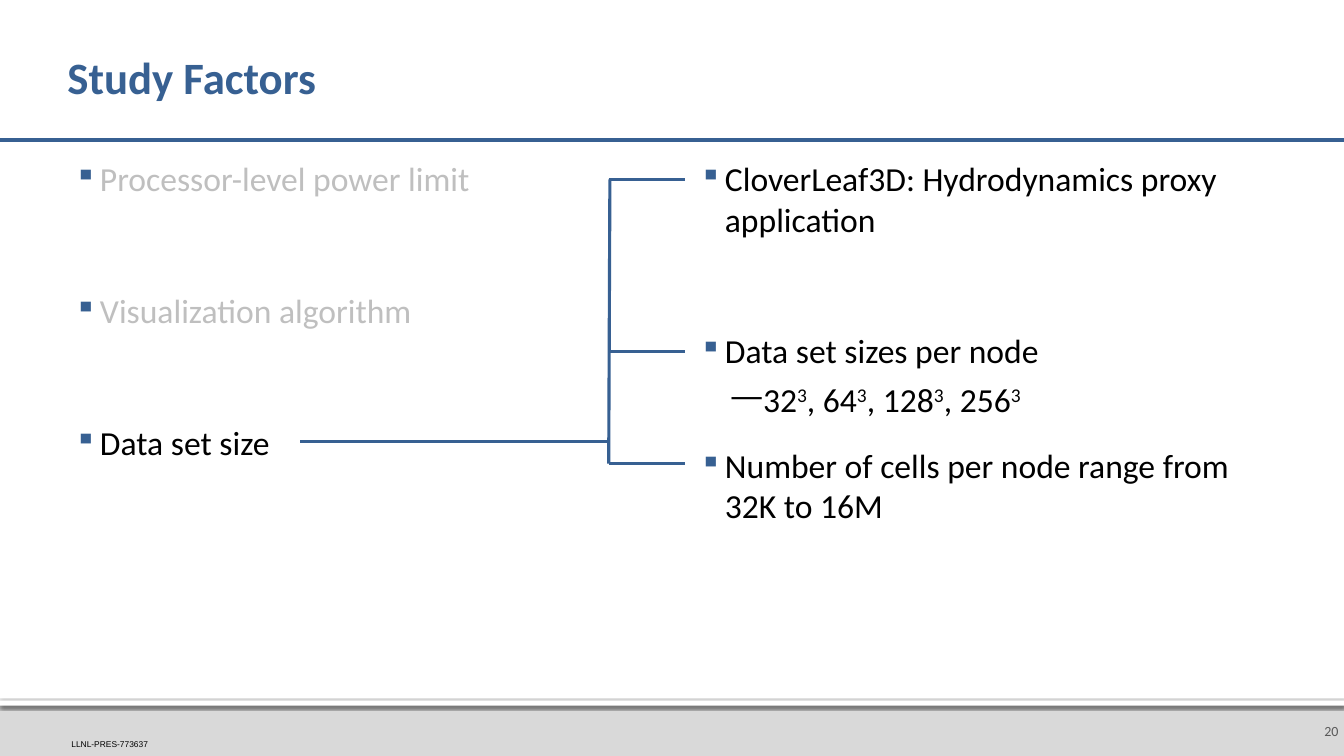
from dataclasses import dataclass

import lxml.etree
import pptx
import pptx.dml.color
import pptx.enum.shapes
import pptx.enum.text
import pptx.oxml.ns
import pptx.util

Cm = pptx.util.Cm
Pt = pptx.util.Pt
Align = pptx.enum.text.PP_ALIGN
Anchor = pptx.enum.text.MSO_ANCHOR


@dataclass(frozen=True)
class Theme:
    blue: str = "376092"
    black: str = "000000"
    faded: str = "BFBFBF"
    dark: str = "595959"
    band: str = "D9D9D9"
    white: str = "FFFFFF"
    main: str = "Calibri"
    small: str = "Arial"
    title: float = 32
    body: float = 24
    page: float = 10
    code: float = 6
    rule: float = 3
    link: float = 2.25


@dataclass(frozen=True)
class Box:
    left: float
    top: float
    width: float
    height: float


@dataclass(frozen=True)
class Line:
    x1: float
    y1: float
    x2: float
    y2: float
    weight: float


@dataclass(frozen=True)
class Label:
    text: str
    box: Box
    pad: tuple[float, float, float, float]
    size: float
    face: str
    color: str
    anchor: Anchor
    align: Align = Align.LEFT
    bold: bool = False
    pitch: float = 1.0


@dataclass(frozen=True)
class Item:
    text: str
    color: str
    before: float = 12
    level: int = 0


@dataclass(frozen=True)
class Bullet:
    mark: str
    left: float
    hang: float
    color: str | None


THEME = Theme()
WIDE, HIGH = 33.87, 19.05
GAP = 59.3
BULLETS = (Bullet("▪", 0.79, 0.64, THEME.blue), Bullet("—", 1.75, 0.79, None))

LABELS = (
    Label("20", Box(32.69, 17.78, 1.17, 1.27), (0.25, 0.13, 0.13, 0.13),
          THEME.page, THEME.main, THEME.dark, Anchor.MIDDLE, Align.RIGHT),
    Label("LLNL-PRES-773637", Box(1.8, 18.62, 3.23, 0.25), (0, 0, 0, 0),
          THEME.code, THEME.small, THEME.black, Anchor.BOTTOM),
    Label("Study Factors", Box(1.7, 0.61, 30.48, 2.79), (0, 0.13, 0.13, 0.13),
          THEME.title, THEME.main, THEME.blue, Anchor.MIDDLE, bold=True, pitch=0.9),
)

LISTS = {
    1.73: (
        Item("Processor-level power limit", THEME.faded, 0),
        Item("Visualization algorithm", THEME.faded, GAP),
        Item("Data set size", THEME.black, GAP),
    ),
    17.48: (
        Item("CloverLeaf3D: Hydrodynamics proxy application", THEME.black, 0),
        Item("Data set sizes per node", THEME.black, GAP),
        Item("32^3^, 64^3^, 128^3^, 256^3", THEME.black, 0, 1),
        Item("Number of cells per node range from 32K to 16M", THEME.black),
    ),
}

SPINE, TIP = 15.34, 17.27
ROWS = (4.52, 8.86, 11.68)
LINES = (
    Line(0, 3.53, WIDE, 3.53, THEME.rule),
    Line(7.57, 11.13, 15.37, 11.13, THEME.link),
    Line(15.37, ROWS[0], SPINE, ROWS[-1], THEME.link),
    *(Line(SPINE, row, TIP, row, THEME.link) for row in ROWS),
)


def paint(code: str) -> pptx.dml.color.RGBColor:
    return pptx.dml.color.RGBColor.from_string(code)


def node(base, tag: str, **attrs: str):
    part = lxml.etree.SubElement(base, pptx.oxml.ns.qn(tag))
    for key, value in attrs.items():
        part.set(key, value)
    return part


def add_bar(slide, box: Box, color: str):
    bar = slide.shapes.add_shape(
        pptx.enum.shapes.MSO_SHAPE.RECTANGLE,
        Cm(box.left), Cm(box.top), Cm(box.width), Cm(box.height))
    bar.shadow.inherit = False
    bar.fill.solid()
    bar.fill.fore_color.rgb = paint(color)
    bar.line.fill.background()
    return bar


def add_shade(bar) -> None:
    group = bar._element.spPr.find(pptx.oxml.ns.qn("a:effectLst"))
    shade = node(group, "a:outerShdw", blurRad=str(Pt(2.5)), dist=str(Pt(0.8)),
                 dir="5400000", algn="t", rotWithShape="0")
    node(node(shade, "a:srgbClr", val=THEME.black), "a:alpha", val="60000")


def add_frame(slide, box: Box, pad: tuple[float, float, float, float]):
    frame = slide.shapes.add_textbox(
        Cm(box.left), Cm(box.top), Cm(box.width), Cm(box.height)).text_frame
    frame.word_wrap = True
    frame.margin_left, frame.margin_top, frame.margin_right, frame.margin_bottom = map(Cm, pad)
    return frame


def set_font(para, face: str, size: float, color: str, bold: bool = False) -> None:
    para.font.name = face
    para.font.size = Pt(size)
    para.font.bold = bold
    para.font.color.rgb = paint(color)


def add_label(slide, label: Label) -> None:
    frame = add_frame(slide, label.box, label.pad)
    frame.vertical_anchor = label.anchor
    para = frame.paragraphs[0]
    para.text = label.text
    para.alignment = label.align
    para.line_spacing = label.pitch
    set_font(para, label.face, label.size, label.color, label.bold)


def add_mark(para, bullet: Bullet) -> None:
    props = para._p.get_or_add_pPr()
    props.set("marL", str(Cm(bullet.left)))
    props.set("indent", str(-Cm(bullet.hang)))
    if bullet.color:
        node(node(props, "a:buClr"), "a:srgbClr", val=bullet.color)
    node(props, "a:buSzPct", val="90000")
    node(props, "a:buChar", char=bullet.mark)


def add_list(slide, left: float, items: tuple[Item, ...]) -> None:
    frame = add_frame(slide, Box(left, 3.99, 14.71, 13.56), (0, 0, 0, 0))
    for index, item in enumerate(items):
        para = frame.add_paragraph() if index else frame.paragraphs[0]
        para.level = item.level
        add_mark(para, BULLETS[item.level])
        para.space_before = Pt(item.before)
        para.space_after = Pt(6)
        set_font(para, THEME.main, THEME.body, item.color)
        for place, piece in enumerate(item.text.split("^")):
            run = para.add_run()
            run.text = piece
            if place % 2:
                run._r.get_or_add_rPr().set("baseline", "30000")


def add_line(slide, line: Line) -> None:
    link = slide.shapes.add_connector(
        pptx.enum.shapes.MSO_CONNECTOR.STRAIGHT,
        Cm(line.x1), Cm(line.y1), Cm(line.x2), Cm(line.y2))
    link.line.color.rgb = paint(THEME.blue)
    link.line.width = Pt(line.weight)
    node(link._element.spPr, "a:effectLst")


def main() -> None:
    deck = pptx.Presentation()
    deck.slide_width, deck.slide_height = Cm(WIDE), Cm(HIGH)
    slide = deck.slides.add_slide(deck.slide_layouts[6])
    add_bar(slide, Box(0, 17.65, WIDE, 1.4), THEME.band)
    add_shade(add_bar(slide, Box(0, 17.65, WIDE, 0.13), THEME.white))
    for label in LABELS:
        add_label(slide, label)
    for left, items in LISTS.items():
        add_list(slide, left, items)
    for line in LINES:
        add_line(slide, line)
    deck.save("out.pptx")


if __name__ == "__main__":
    main()
